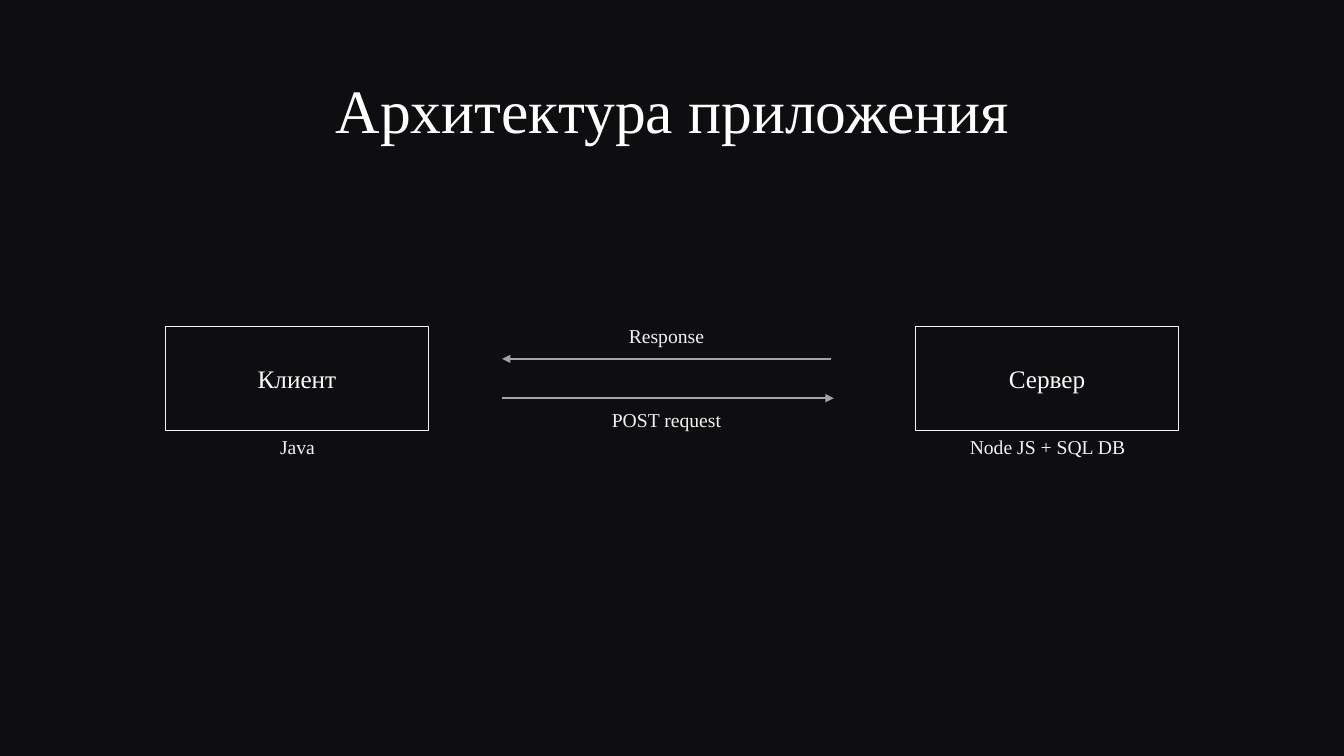
from lxml.etree import SubElement
from pptx import Presentation
from pptx.dml.color import RGBColor
from pptx.enum.shapes import MSO_CONNECTOR, MSO_SHAPE
from pptx.enum.text import MSO_ANCHOR, MSO_AUTO_SIZE, PP_ALIGN
from pptx.oxml.ns import qn
from pptx.util import Inches, Pt

BACKGROUND = RGBColor(0x0E, 0x0E, 0x10)
WHITE = RGBColor(0xFF, 0xFF, 0xFF)
LIGHT = RGBColor(0xF2, 0xF2, 0xF2)
GREY = RGBColor(0xA5, 0xA5, 0xA5)
FONT = "Times New Roman"

NODE_TOP, NODE_WIDTH, NODE_HEIGHT = 3.24, 2.61, 1.03
CAPTION_WIDTH, CAPTION_HEIGHT = 2.62, 0.34


def write(frame, text, size, color, anchor):
    """Fill a text frame with one centred paragraph."""
    frame.text = text
    frame.word_wrap = True
    frame.vertical_anchor = anchor
    paragraph = frame.paragraphs[0]
    paragraph.alignment = PP_ALIGN.CENTER
    font = paragraph.runs[0].font
    font.name = FONT
    font.size = Pt(size)
    font.color.rgb = color
    return paragraph


def set_title(slide, text):
    """Place and format the slide title."""
    title = slide.shapes.title
    title.left, title.top = Inches(0.92), Inches(0.4)
    title.width, title.height = Inches(11.5), Inches(1.45)
    heading = write(title.text_frame, text, 44, WHITE, MSO_ANCHOR.MIDDLE)
    heading.line_spacing = 0.9


def add_caption(slide, text, left, top):
    """Add a small centred caption."""
    caption = slide.shapes.add_textbox(
        Inches(left), Inches(top), Inches(CAPTION_WIDTH), Inches(CAPTION_HEIGHT))
    write(caption.text_frame, text, 14, LIGHT, MSO_ANCHOR.TOP)
    caption.text_frame.auto_size = MSO_AUTO_SIZE.SHAPE_TO_FIT_TEXT


def add_node(slide, name, technology, left):
    """Add an outlined box with its technology beneath."""
    node = slide.shapes.add_shape(
        MSO_SHAPE.RECTANGLE, Inches(left), Inches(NODE_TOP),
        Inches(NODE_WIDTH), Inches(NODE_HEIGHT))
    node.shadow.inherit = False
    node.fill.background()
    node.line.color.rgb = LIGHT
    node.line.width = Pt(1)
    write(node.text_frame, name, 18, WHITE, MSO_ANCHOR.MIDDLE)
    add_caption(slide, technology, left, NODE_TOP + NODE_HEIGHT)


def add_message(slide, text, start, end, top, caption_top):
    """Add a horizontal arrow and its caption."""
    arrow = slide.shapes.add_connector(
        MSO_CONNECTOR.STRAIGHT, Inches(start), Inches(top), Inches(end), Inches(top))
    arrow.line.color.rgb = GREY
    arrow.line.width = Pt(1.5)
    SubElement(arrow.line._get_or_add_ln(), qn("a:tailEnd"), type="triangle")
    SubElement(arrow._element.spPr, qn("a:effectLst"))
    add_caption(slide, text, 5.3, caption_top)


def main():
    """Build the application architecture slide."""
    deck = Presentation()
    deck.slide_width, deck.slide_height = Inches(13.33), Inches(7.5)
    slide = deck.slides.add_slide(deck.slide_layouts[5])
    slide.background.fill.solid()
    slide.background.fill.fore_color.rgb = BACKGROUND

    set_title(slide, "Архитектура приложения")
    add_node(slide, "Клиент", "Java", 1.64)
    add_node(slide, "Сервер", "Node JS + SQL DB", 9.08)
    add_message(slide, "Response", 8.24, 4.98, 3.56, 3.16)
    add_message(slide, "POST request", 4.98, 8.27, 3.95, 4)
    deck.save("out.pptx")


if __name__ == "__main__":
    main()
